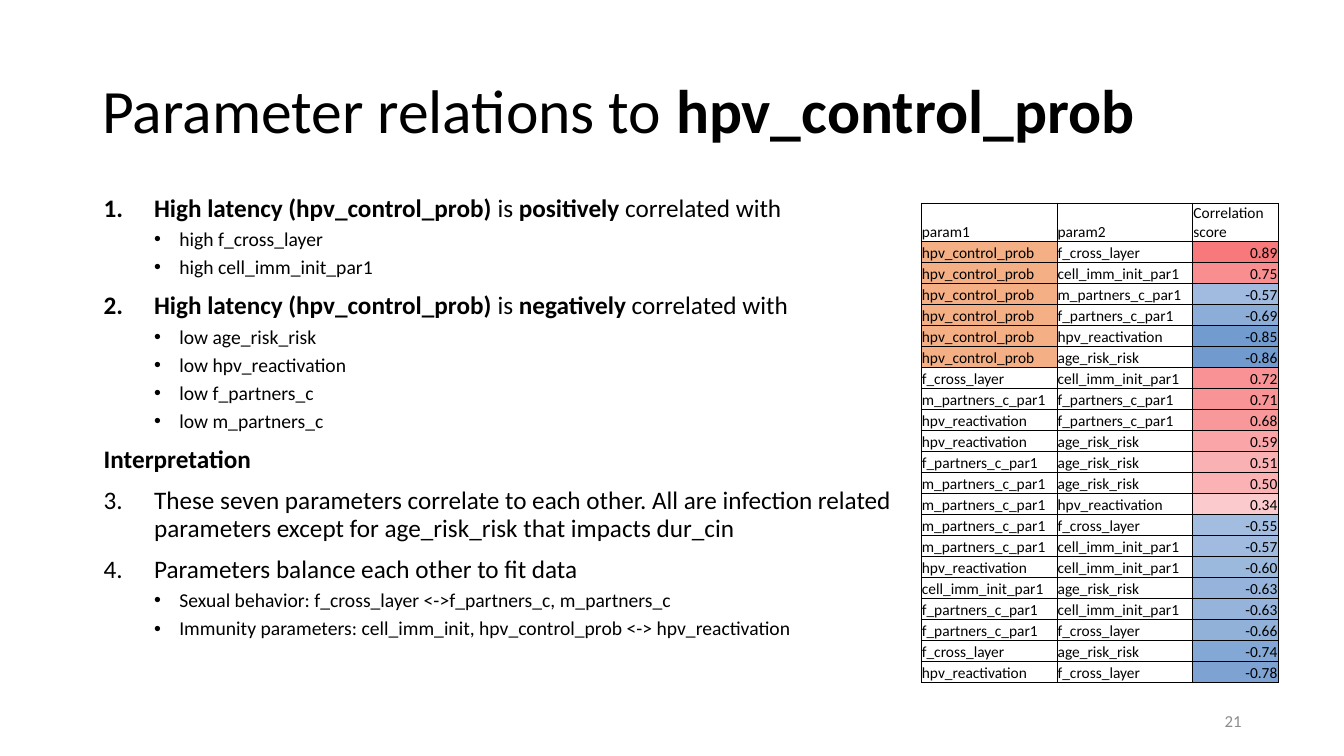
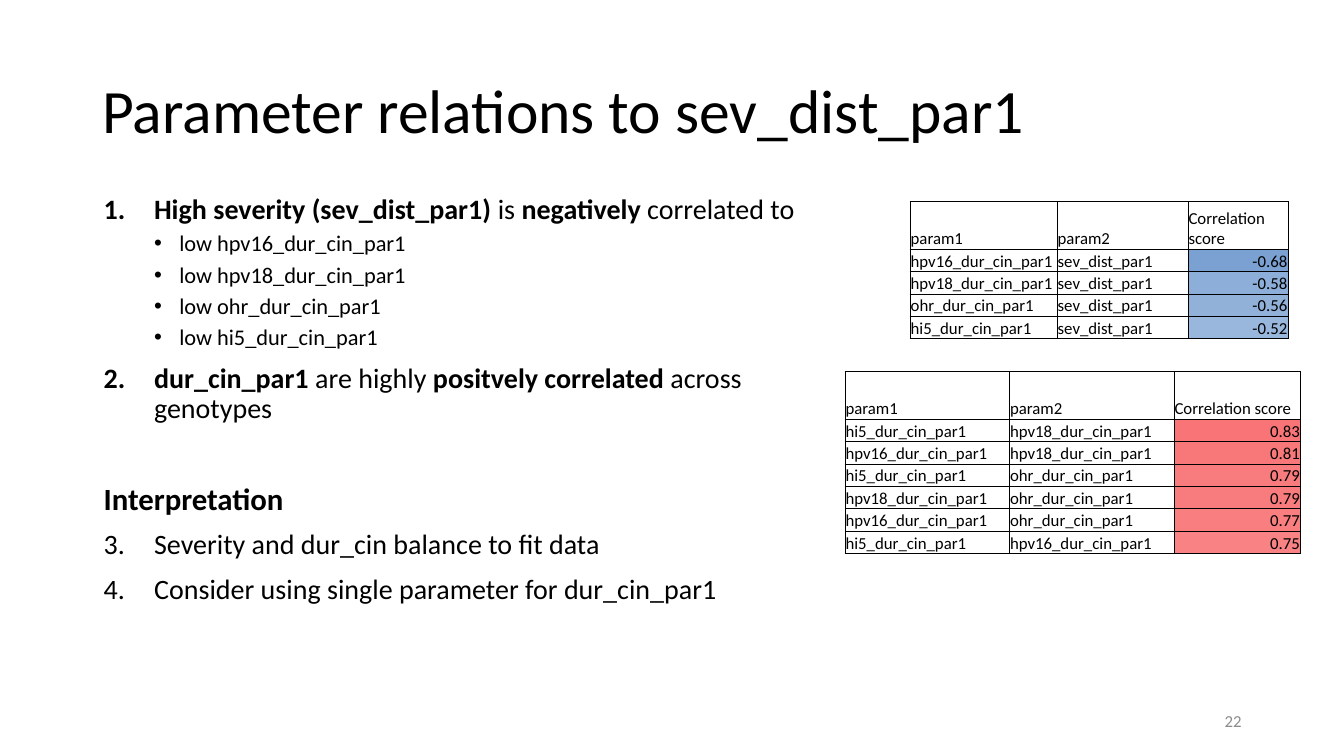
"""Build two slides on how model parameters correlate with each other."""
from lxml import etree
from pptx import Presentation
from pptx.dml.color import RGBColor
from pptx.enum.text import MSO_ANCHOR, PP_ALIGN
from pptx.oxml.ns import qn
from pptx.util import Pt

PX = 6350
LEFT, RIGHT = PP_ALIGN.LEFT, PP_ALIGN.RIGHT
TOP, MIDDLE, BOTTOM = MSO_ANCHOR.TOP, MSO_ANCHOR.MIDDLE, MSO_ANCHOR.BOTTOM
FONT = "Calibri"
COLORS = {
    "text": "000000",
    "page_number": "8C8C8C",
    "highlight": "F4B084",
    "neutral": "FCFCFF",
    "positive": "F8696B",
    "negative": "5A8AC6",
}
HEADERS = ("param1", "param2", "Correlation score")
INDENTS = {"number": (72, -72), "bullet": (108, -36)}
SPACES = {"number": 10, "bullet": 5, "heading": 10}

CONTROL_OUTLINE = [
    ("number", "*High latency (hpv_control_prob) *is *positively* correlated with"),
    ("bullet", "high f_cross_layer"),
    ("bullet", "high cell_imm_init_par1"),
    ("number", "*High latency (hpv_control_prob) *is *negatively* correlated with"),
    ("bullet", "low age_risk_risk"),
    ("bullet", "low hpv_reactivation"),
    ("bullet", "low f_partners_c"),
    ("bullet", "low m_partners_c"),
    ("heading", "*Interpretation*"),
    ("number", "These seven parameters correlate to each other. All are infection related "
               "parameters except for age_risk_risk that impacts dur_cin"),
    ("number", "Parameters balance each other to fit data"),
    ("bullet", "Sexual behavior: f_cross_layer <->f_partners_c, m_partners_c"),
    ("bullet", "Immunity parameters: cell_imm_init, hpv_control_prob <-> hpv_reactivation"),
]
CONTROL_SCORES = [
    ("hpv_control_prob", "f_cross_layer", 0.89),
    ("hpv_control_prob", "cell_imm_init_par1", 0.75),
    ("hpv_control_prob", "m_partners_c_par1", -0.57),
    ("hpv_control_prob", "f_partners_c_par1", -0.69),
    ("hpv_control_prob", "hpv_reactivation", -0.85),
    ("hpv_control_prob", "age_risk_risk", -0.86),
    ("f_cross_layer", "cell_imm_init_par1", 0.72),
    ("m_partners_c_par1", "f_partners_c_par1", 0.71),
    ("hpv_reactivation", "f_partners_c_par1", 0.68),
    ("hpv_reactivation", "age_risk_risk", 0.59),
    ("f_partners_c_par1", "age_risk_risk", 0.51),
    ("m_partners_c_par1", "age_risk_risk", 0.50),
    ("m_partners_c_par1", "hpv_reactivation", 0.34),
    ("m_partners_c_par1", "f_cross_layer", -0.55),
    ("m_partners_c_par1", "cell_imm_init_par1", -0.57),
    ("hpv_reactivation", "cell_imm_init_par1", -0.60),
    ("cell_imm_init_par1", "age_risk_risk", -0.63),
    ("f_partners_c_par1", "cell_imm_init_par1", -0.63),
    ("f_partners_c_par1", "f_cross_layer", -0.66),
    ("f_cross_layer", "age_risk_risk", -0.74),
    ("hpv_reactivation", "f_cross_layer", -0.78),
]
SEVERITY_OUTLINE = [
    ("number", "*High severity (sev_dist_par1) *is *negatively* correlated to"),
    ("bullet", "low hpv16_dur_cin_par1"),
    ("bullet", "low hpv18_dur_cin_par1"),
    ("bullet", "low ohr_dur_cin_par1"),
    ("bullet", "low hi5_dur_cin_par1"),
    ("number", "*dur_cin_par1* are highly *positvely correlated* across genotypes"),
    ("heading", "*Interpretation*"),
    ("number", "Severity and dur_cin balance to fit data"),
    ("number", "Consider using single parameter for dur_cin_par1"),
]
SEVERITY_SCORES = [
    ("hpv16_dur_cin_par1", "sev_dist_par1", -0.68),
    ("hpv18_dur_cin_par1", "sev_dist_par1", -0.58),
    ("ohr_dur_cin_par1", "sev_dist_par1", -0.56),
    ("hi5_dur_cin_par1", "sev_dist_par1", -0.52),
]
DURATION_SCORES = [
    ("hi5_dur_cin_par1", "hpv18_dur_cin_par1", 0.83),
    ("hpv16_dur_cin_par1", "hpv18_dur_cin_par1", 0.81),
    ("hi5_dur_cin_par1", "ohr_dur_cin_par1", 0.79),
    ("hpv18_dur_cin_par1", "ohr_dur_cin_par1", 0.79),
    ("hpv16_dur_cin_par1", "ohr_dur_cin_par1", 0.77),
    ("hi5_dur_cin_par1", "hpv16_dur_cin_par1", 0.75),
]


def add_spans(para, text, size, color="text"):
    """Add runs to a paragraph, with bold between asterisks."""
    for index, part in enumerate(text.split("*")):
        if part:
            span = para.add_run()
            span.text = part
            span.font.name = FONT
            span.font.size = Pt(size)
            span.font.bold = index % 2 == 1
            span.font.color.rgb = RGBColor.from_string(COLORS[color])


def add_box(page, left, top, width, height, anchor):
    """Add an empty wrapping text box and return its text frame."""
    box = page.shapes.add_textbox(left * PX, top * PX, width * PX, height * PX)
    frame = box.text_frame
    frame.word_wrap = True
    frame.vertical_anchor = anchor
    return frame


def add_title(page, text):
    """Add the slide title."""
    para = add_box(page, 132, 58, 1656, 209, MIDDLE).paragraphs[0]
    para.line_spacing = 0.9
    add_spans(para, text, 44)


def add_page_number(page, number):
    """Add the page number at the bottom right."""
    para = add_box(page, 1356, 1001, 432, 58, MIDDLE).paragraphs[0]
    para.alignment = RIGHT
    add_spans(para, str(number), 12, "page_number")


def set_marker(para, kind, start):
    """Give a paragraph its hanging indent and its number or bullet."""
    margin, indent = INDENTS[kind]
    properties = para._p.get_or_add_pPr()
    properties.set("marL", str(margin * PX))
    properties.set("indent", str(indent * PX))
    if kind == "number":
        marker = etree.SubElement(properties, qn("a:buAutoNum"), type="arabicPeriod")
        if start > 1:
            marker.set("startAt", str(start))
    else:
        para.level = 1
        etree.SubElement(properties, qn("a:buFont"), typeface="Arial")
        etree.SubElement(properties, qn("a:buChar"), char="•")


def add_outline(page, outline, width, sizes, heading_space=SPACES["heading"]):
    """Add the numbered outline, which counts on after its heading."""
    frame = add_box(page, 134, 272, width, 770, TOP)
    spaces = {**SPACES, "heading": heading_space}
    count, start = 0, 1
    for index, (kind, text) in enumerate(outline):
        para = frame.add_paragraph() if index else frame.paragraphs[0]
        if kind == "heading":
            start = count + 1
        else:
            count += kind == "number"
            set_marker(para, kind, start)
        para.line_spacing = 0.9
        if index:
            para.space_before = Pt(spaces[kind])
        add_spans(para, text, sizes[kind])


def score_color(score, limit):
    """Blend from neutral to the colour of the sign, full at the limit."""
    target = COLORS["positive" if score > 0 else "negative"]
    share = abs(score) / limit
    pairs = zip(RGBColor.from_string(COLORS["neutral"]), RGBColor.from_string(target))
    return RGBColor(*(round(low + (high - low) * share) for low, high in pairs))


def fill_cell(cell, text, size, align=LEFT, fill=None):
    """Write a bordered table cell."""
    cell.margin_left = cell.margin_right = cell.margin_top = PX
    cell.margin_bottom = 0
    cell.vertical_anchor = BOTTOM
    properties = cell._tc.get_or_add_tcPr()
    for side in ("a:lnL", "a:lnR", "a:lnT", "a:lnB"):
        line = etree.SubElement(properties, qn(side), w=str(Pt(0.5)))
        paint = etree.SubElement(line, qn("a:solidFill"))
        etree.SubElement(paint, qn("a:srgbClr"), val=COLORS["text"])
    if fill is None:
        cell.fill.background()
    else:
        cell.fill.solid()
        cell.fill.fore_color.rgb = fill
    para = cell.text_frame.paragraphs[0]
    para.alignment = align
    add_spans(para, text, size)


def add_score_table(page, scores, left, top, widths, heights, size, limit, highlight=None):
    """Add a table of parameter pairs with scores tinted by value."""
    header_height, row_height = heights
    total = header_height + row_height * len(scores)
    table = page.shapes.add_table(len(scores) + 1, len(widths), left * PX, top * PX,
                                  sum(widths) * PX, total * PX).table
    table.first_row = table.horz_banding = False
    for column, width in zip(table.columns, widths):
        column.width = width * PX
    for index, row in enumerate(table.rows):
        row.height = (row_height if index else header_height) * PX
    for column, header in enumerate(HEADERS):
        fill_cell(table.cell(0, column), header, size)
    orange = RGBColor.from_string(COLORS["highlight"])
    for row, (first, second, score) in enumerate(scores, 1):
        fill_cell(table.cell(row, 0), first, size, fill=orange if first == highlight else None)
        fill_cell(table.cell(row, 1), second, size)
        fill_cell(table.cell(row, 2), f"{score:.2f}", size, RIGHT, score_color(score, limit))


def add_page(deck, title, number):
    """Add a blank slide with its title and page number."""
    page = deck.slides.add_slide(deck.slide_layouts[6])
    add_title(page, title)
    add_page_number(page, number)
    return page


def main():
    """Build and save the deck."""
    deck = Presentation()
    deck.slide_width, deck.slide_height = 1920 * PX, 1080 * PX

    page = add_page(deck, "Parameter relations to *hpv_control_prob*", 21)
    add_outline(page, CONTROL_OUTLINE, 1164, {"number": 18, "bullet": 14, "heading": 18})
    add_score_table(page, CONTROL_SCORES, 1316, 290, (194, 194, 122), (55, 30), 11, 1,
                    highlight="hpv_control_prob")

    page = add_page(deck, "Parameter relations to sev_dist_par1", 22)
    add_outline(page, SEVERITY_OUTLINE, 1030, {"number": 20, "bullet": 16, "heading": 22},
                heading_space=42)
    add_score_table(page, SEVERITY_SCORES, 1300, 288, (210, 187, 143), (68, 32), 12, 0.85)
    add_score_table(page, DURATION_SCORES, 1207, 531, (235, 235, 181), (68, 32), 12, 0.9)

    deck.save("out.pptx")


if __name__ == "__main__":
    main()
